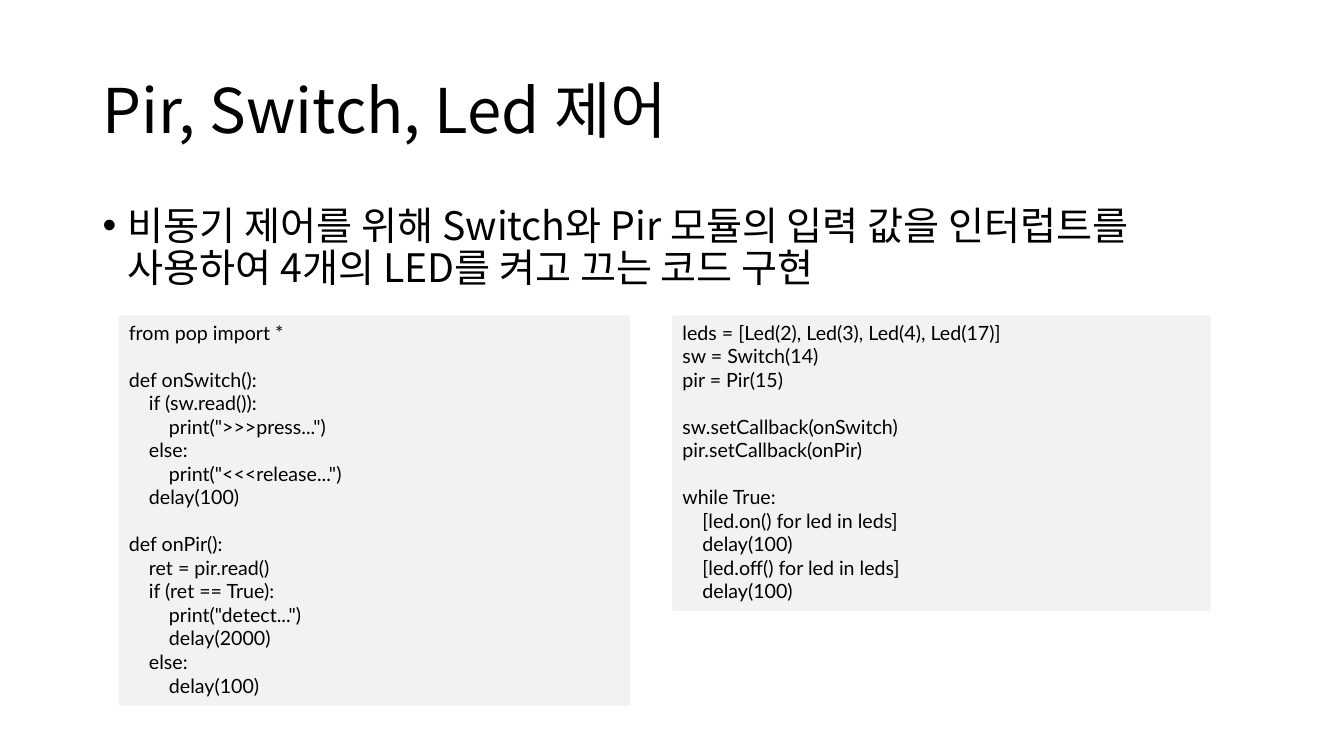
"""Build a slide that pairs a control task with its two code listings."""
import dataclasses

import lxml.etree
import pptx
import pptx.dml.color
import pptx.enum.shapes
import pptx.enum.text
import pptx.oxml.ns
import pptx.shapes.autoshape
import pptx.slide
import pptx.text.text
import pptx.util


@dataclasses.dataclass(frozen=True)
class Theme:
    text: str = "000000"
    panel: str = "F2F2F2"
    heading_font: str = "Noto Sans CJK KR"
    code_font: str = "Lato"
    title_size: float = 44
    body_size: float = 28
    code_size: float = 14
    code_line: float = 16.8
    heading_spacing: float = 0.9


@dataclasses.dataclass(frozen=True)
class Box:
    left: float
    top: float
    width: float
    height: float


@dataclasses.dataclass(frozen=True)
class Listing:
    box: Box
    code: str


THEME = Theme()
TITLE_BOX = Box(0.92, 0.4, 11.5, 1.45)
BODY_BOX = Box(0.92, 2, 11.5, 5.33)
TITLE = "Pir, Switch, Led 제어"
BODY = (
    "비동기 제어를 위해 Switch와 Pir 모듈의 입력 값을 인터럽트를 "
    "사용하여 4개의 LED를 켜고 끄는 코드 구현"
)
LISTINGS = (
    Listing(Box(1.18, 3.13, 5.07, 3.87), '''from pop import *

def onSwitch():
    if (sw.read()):
        print(">>>press...")
    else:
        print("<<<release...")
    delay(100)

def onPir():
    ret = pir.read()
    if (ret == True):
        print("detect...")
        delay(2000)
    else:
        delay(100)'''),
    Listing(Box(6.67, 3.13, 5.34, 2.93), '''leds = [Led(2), Led(3), Led(4), Led(17)]
sw = Switch(14)
pir = Pir(15)

sw.setCallback(onSwitch)
pir.setCallback(onPir)

while True:
    [led.on() for led in leds]
    delay(100)
    [led.off() for led in leds]
    delay(100)'''),
)


def lengths(box: Box) -> list[pptx.util.Length]:
    return [pptx.util.Inches(value) for value in dataclasses.astuple(box)]


def write(paragraph: pptx.text.text._Paragraph, text: str, *, font: str, size: float,
          line_spacing: float = 1.0, space_before: float = 0) -> None:
    paragraph.alignment = pptx.enum.text.PP_ALIGN.LEFT
    paragraph.line_spacing = line_spacing
    paragraph.space_before = pptx.util.Pt(space_before)
    run = paragraph.add_run()
    run.text = text
    run.font.name = font
    run.font.size = pptx.util.Pt(size)
    run.font.color.rgb = pptx.dml.color.RGBColor.from_string(THEME.text)
    east_asian = lxml.etree.Element(pptx.oxml.ns.qn("a:ea"), typeface=font)
    run.font._element.find(pptx.oxml.ns.qn("a:latin")).addnext(east_asian)


def add_bullet(paragraph: pptx.text.text._Paragraph) -> None:
    properties = paragraph._p.get_or_add_pPr()
    indent = pptx.util.Inches(0.25)
    properties.set("marL", str(indent))
    properties.set("indent", str(-indent))
    tag = pptx.oxml.ns.qn
    lxml.etree.SubElement(properties, tag("a:buFont"), typeface="Arial")
    lxml.etree.SubElement(properties, tag("a:buChar"), char="•")


def add_title(slide: pptx.slide.Slide) -> None:
    title = slide.shapes.title
    title.left, title.top, title.width, title.height = lengths(TITLE_BOX)
    title.text_frame.vertical_anchor = pptx.enum.text.MSO_ANCHOR.MIDDLE
    write(title.text_frame.paragraphs[0], TITLE, font=THEME.heading_font,
          size=THEME.title_size, line_spacing=THEME.heading_spacing)


def add_body(slide: pptx.slide.Slide) -> None:
    frame = slide.shapes.add_textbox(*lengths(BODY_BOX)).text_frame
    frame.word_wrap = True
    add_bullet(frame.paragraphs[0])
    write(frame.paragraphs[0], BODY, font=THEME.heading_font,
          size=THEME.body_size, line_spacing=THEME.heading_spacing)


def add_listing(slide: pptx.slide.Slide, listing: Listing) -> pptx.shapes.autoshape.Shape:
    shape = slide.shapes.add_shape(
        pptx.enum.shapes.MSO_SHAPE.RECTANGLE, *lengths(listing.box))
    shape.shadow.inherit = False
    shape.fill.solid()
    shape.fill.fore_color.rgb = pptx.dml.color.RGBColor.from_string(THEME.panel)
    shape.line.fill.background()
    frame = shape.text_frame
    frame.word_wrap = True
    frame.vertical_anchor = pptx.enum.text.MSO_ANCHOR.TOP
    paragraph = frame.paragraphs[0]
    for block_index, block in enumerate(listing.code.split("\n\n")):
        for line_index, line in enumerate(block.split("\n")):
            if block_index or line_index:
                paragraph = frame.add_paragraph()
            opens_block = block_index > 0 and line_index == 0
            write(paragraph, line, font=THEME.code_font, size=THEME.code_size,
                  space_before=THEME.code_line if opens_block else 0)
    return shape


def main() -> None:
    presentation = pptx.Presentation()
    presentation.slide_width = pptx.util.Inches(13.33)
    presentation.slide_height = pptx.util.Inches(7.5)
    slide = presentation.slides.add_slide(
        presentation.slide_layouts.get_by_name("Title Only"))
    add_title(slide)
    add_body(slide)
    for listing in LISTINGS:
        add_listing(slide, listing)
    presentation.save("out.pptx")


if __name__ == "__main__":
    main()
